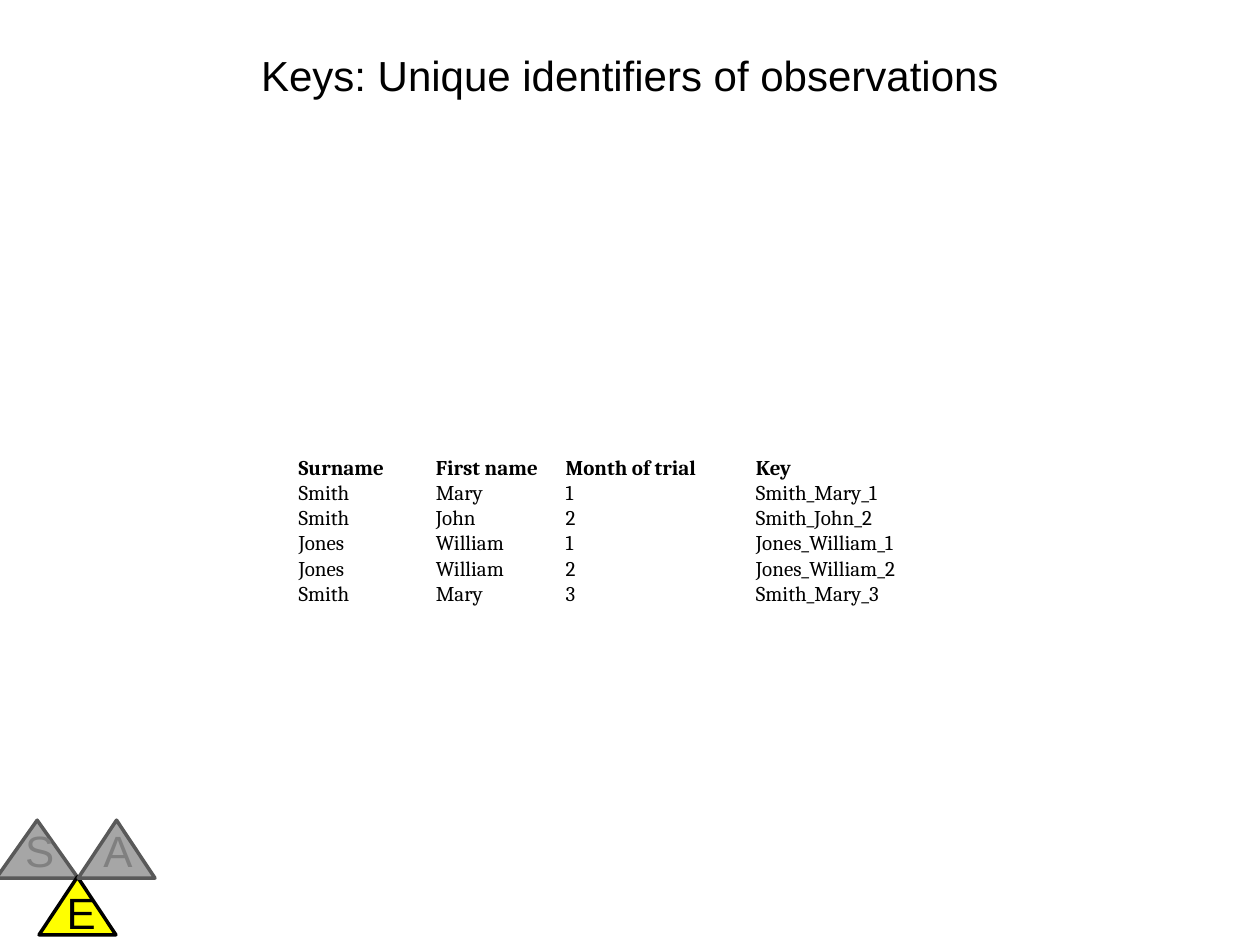
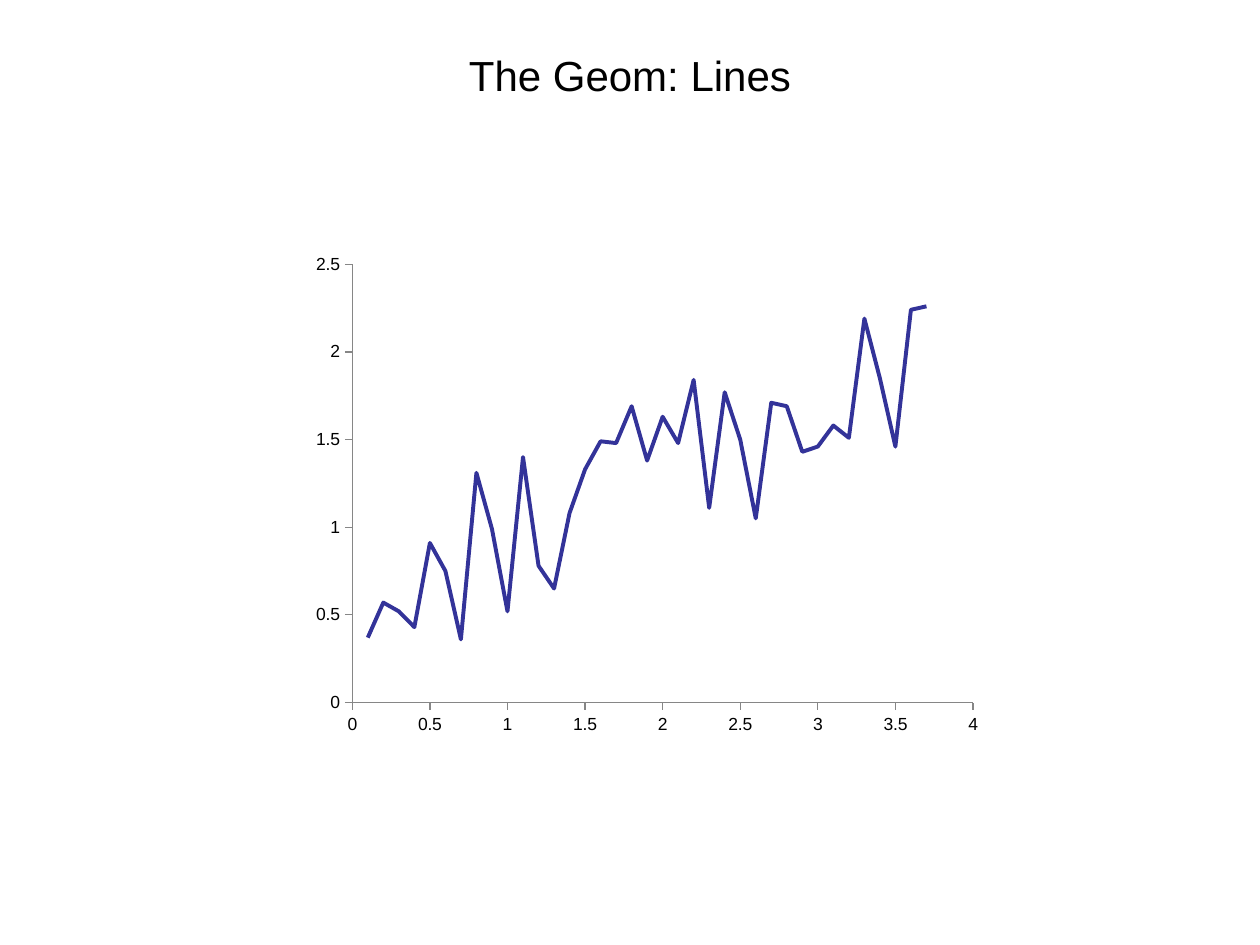
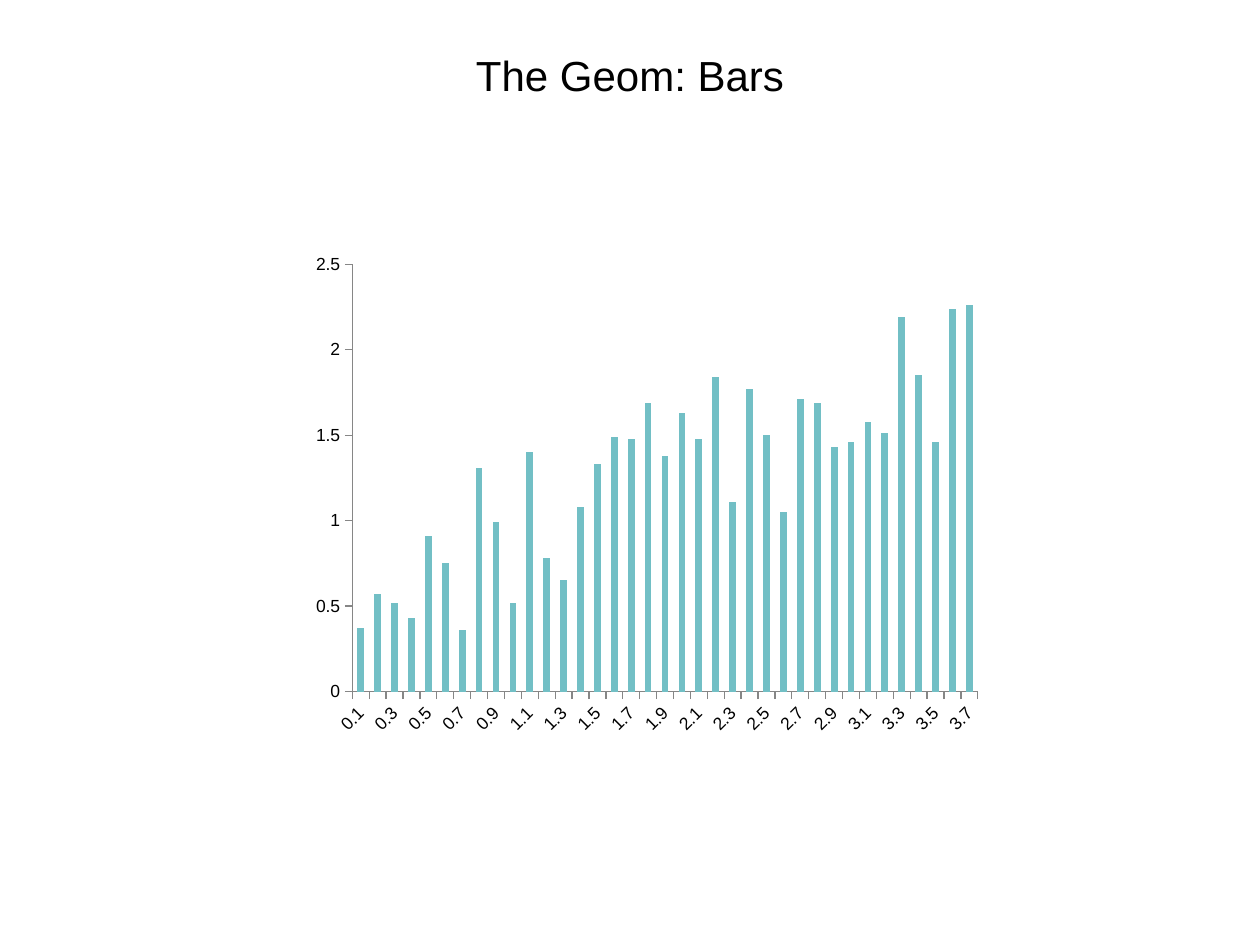
from pptx import Presentation
from pptx.chart.data import CategoryChartData, XyChartData
from pptx.dml.color import RGBColor
from pptx.enum.chart import XL_CHART_TYPE, XL_TICK_MARK
from pptx.enum.shapes import MSO_SHAPE
from pptx.enum.text import MSO_ANCHOR, PP_ALIGN
from pptx.util import Inches, Pt

TRIANGLE = MSO_SHAPE.ISOSCELES_TRIANGLE
SCATTER_LINES = XL_CHART_TYPE.XY_SCATTER_LINES_NO_MARKERS
COLUMNS = XL_CHART_TYPE.COLUMN_CLUSTERED
TICK_OUT = XL_TICK_MARK.OUTSIDE
TOP = MSO_ANCHOR.TOP
CENTER = PP_ALIGN.CENTER

BLACK = RGBColor(0x00, 0x00, 0x00)
YELLOW = RGBColor(0xFF, 0xFF, 0x00)
MUTED_FILL = RGBColor(0xA6, 0xA6, 0xA6)
MUTED_EDGE = RGBColor(0x59, 0x59, 0x59)
MUTED_TEXT = RGBColor(0x80, 0x80, 0x80)
AXIS_GRAY = RGBColor(0x86, 0x86, 0x86)
LINE_BLUE = RGBColor(0x33, 0x33, 0x99)
BAR_TEAL = RGBColor(0x72, 0xBF, 0xC5)

SANS, SERIF = "Arial", "Cambria"

# The slide is a grid of 100 columns by 75 rows
GRID_COLUMNS, GRID_ROWS = 100, 75
CELL = Inches(0.1)
CHART_AREA = (24, 19.4, 54.7, 39.7)

KEY_COLUMNS = (10.9, 10.3, 15.1, 17.7)
KEY_ROW = 2
KEY_RECORDS = [
    ("Surname", "First name", "Month of trial", "Key"),
    ("Smith", "Mary", "1", "Smith_Mary_1"),
    ("Smith", "John", "2", "Smith_John_2"),
    ("Jones", "William", "1", "Jones_William_1"),
    ("Jones", "William", "2", "Jones_William_2"),
    ("Smith", "Mary", "3", "Smith_Mary_3"),
]

MEASUREMENTS = [
    0.37, 0.57, 0.52, 0.43, 0.91, 0.75, 0.36, 1.31, 0.99, 0.52,
    1.4, 0.78, 0.65, 1.08, 1.33, 1.49, 1.48, 1.69, 1.38, 1.63,
    1.48, 1.84, 1.11, 1.77, 1.5, 1.05, 1.71, 1.69, 1.43, 1.46,
    1.58, 1.51, 2.19, 1.85, 1.46, 2.24, 2.26,
]
STEPS = [step / 10 for step in range(1, len(MEASUREMENTS) + 1)]


def grid(*cells):
    """Turn grid cells into slide lengths."""
    return [round(cell * CELL) for cell in cells]


def set_font(font, name, size, color, bold=False):
    font.name, font.size, font.bold = name, Pt(size), bold
    font.color.rgb = color


def add_text(shapes, area, text, size, color, top_inset=0.5):
    box = shapes.add_textbox(*grid(*area))
    frame = box.text_frame
    frame.word_wrap = True
    frame.vertical_anchor = TOP
    frame.margin_top = grid(top_inset)[0]
    paragraph = frame.paragraphs[0]
    paragraph.text = text
    paragraph.alignment = CENTER
    set_font(paragraph.font, SANS, size, color)


def add_titled_slide(deck, title):
    slide = deck.slides.add_slide(deck.slide_layouts[6])
    add_text(slide.shapes, (5, 3, 90, 12.5), title, 24, BLACK, top_inset=0.9)
    return slide


def add_triangle(shapes, area, fill, edge):
    triangle = shapes.add_shape(TRIANGLE, *grid(*area))
    triangle.shadow.inherit = False
    triangle.fill.solid()
    triangle.fill.fore_color.rgb = fill
    triangle.line.color.rgb = edge
    triangle.line.width = Pt(2)


def add_stage_marker(slide):
    """Three triangles S, A and E, with E as the current stage."""
    shapes = slide.shapes.add_group_shape().shapes
    add_triangle(shapes, (-0.3, 65.1, 6.5, 4.6), MUTED_FILL, MUTED_EDGE)
    add_triangle(shapes, (3.1, 69.6, 6.1, 4.6), YELLOW, BLACK)
    add_triangle(shapes, (6.2, 65.1, 6.1, 4.6), MUTED_FILL, MUTED_EDGE)
    for letter, left, top, color in (("A", 6.4, 64.9, MUTED_TEXT),
                                     ("S", 0.2, 64.9, MUTED_TEXT),
                                     ("E", 3.5, 69.8, BLACK)):
        add_text(shapes, (left, top, 5.9, 5.2), letter, 25, color)


def add_key_table(slide):
    area = grid(23, 36.2, sum(KEY_COLUMNS), KEY_ROW * len(KEY_RECORDS))
    table = slide.shapes.add_table(len(KEY_RECORDS), len(KEY_COLUMNS), *area).table
    table.horz_banding = False
    for column, width in zip(table.columns, grid(*KEY_COLUMNS)):
        column.width = width
    for row_index, record in enumerate(KEY_RECORDS):
        for column_index, text in enumerate(record):
            cell = table.cell(row_index, column_index)
            cell.fill.background()
            cell.margin_left = cell.margin_right = grid(0.7)[0]
            cell.margin_top = cell.margin_bottom = 0
            paragraph = cell.text_frame.paragraphs[0]
            paragraph.text = text
            set_font(paragraph.font, SERIF, 12, BLACK, bold=row_index == 0)


def add_plain_chart(slide, kind, data):
    """Chart without title, legend or gridlines; returns its plot."""
    chart = slide.shapes.add_chart(kind, *grid(*CHART_AREA), data).chart
    chart.has_title = False
    chart.has_legend = False
    set_font(chart.font, SANS, 10, BLACK)
    for axis in (chart.category_axis, chart.value_axis):
        axis.has_major_gridlines = False
        axis.major_tick_mark = TICK_OUT
        axis.format.line.color.rgb = AXIS_GRAY
    plot = chart.plots[0]
    plot.vary_by_categories = False
    return plot


def add_line_chart(slide):
    data = XyChartData()
    points = data.add_series("Series 1")
    for step, measurement in zip(STEPS, MEASUREMENTS):
        points.add_data_point(step, measurement)
    series = add_plain_chart(slide, SCATTER_LINES, data).series[0]
    series.smooth = False
    series.format.line.color.rgb = LINE_BLUE
    series.format.line.width = Pt(2.25)


def add_bar_chart(slide):
    data = CategoryChartData()
    data.categories = STEPS
    data.add_series("Series 1", MEASUREMENTS)
    plot = add_plain_chart(slide, COLUMNS, data)
    plot.gap_width = 150
    bars = plot.series[0]
    bars.format.fill.solid()
    bars.format.fill.fore_color.rgb = BAR_TEAL


def main():
    deck = Presentation()
    deck.slide_width, deck.slide_height = grid(GRID_COLUMNS, GRID_ROWS)

    keys = add_titled_slide(deck, "Keys: Unique identifiers of observations")
    add_stage_marker(keys)
    add_key_table(keys)

    add_line_chart(add_titled_slide(deck, "The Geom: Lines"))
    add_bar_chart(add_titled_slide(deck, "The Geom: Bars"))

    deck.save("out.pptx")


if __name__ == "__main__":
    main()
